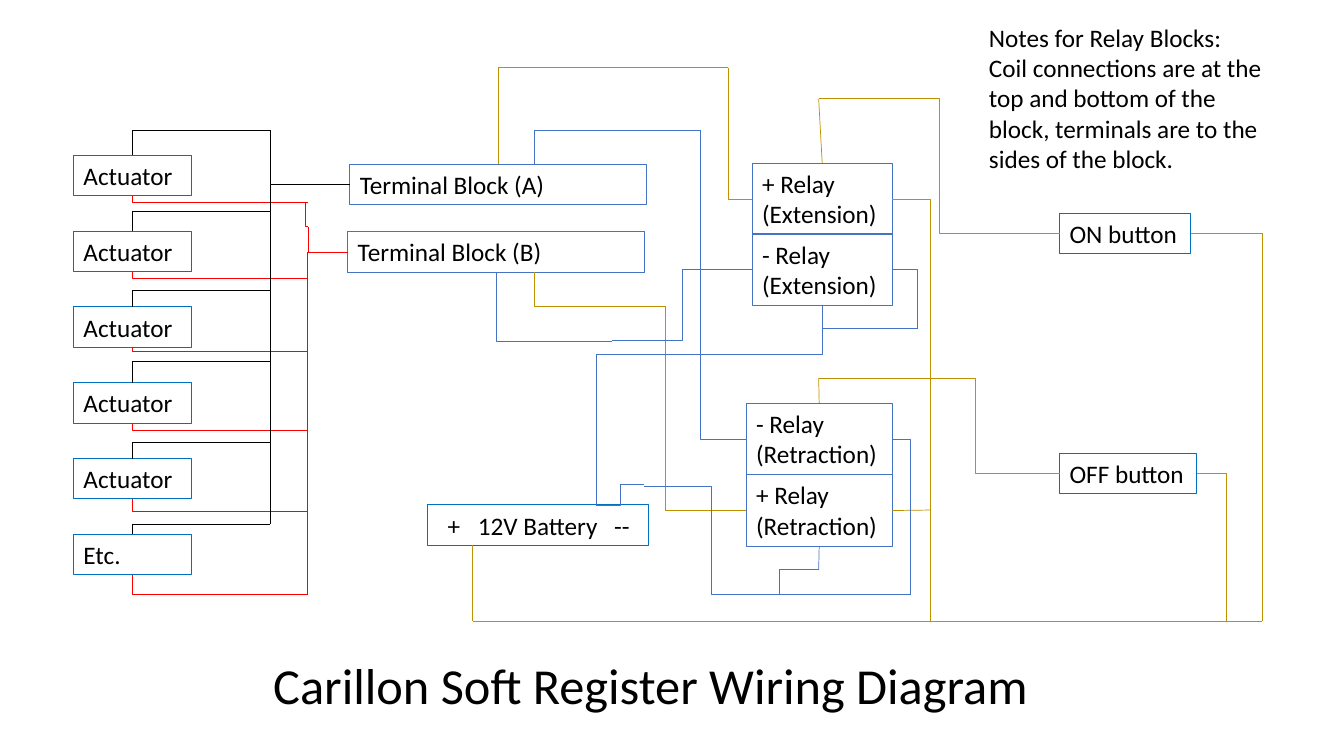
from lxml import etree
from pptx import Presentation
from pptx.dml.color import RGBColor
from pptx.enum.shapes import MSO_CONNECTOR, MSO_SHAPE
from pptx.enum.text import MSO_ANCHOR, MSO_AUTO_SIZE, PP_ALIGN
from pptx.oxml.ns import qn
from pptx.util import Inches, Pt

RECT = MSO_SHAPE.RECTANGLE
STRAIGHT, ELBOW = MSO_CONNECTOR.STRAIGHT, MSO_CONNECTOR.ELBOW
LEFT_ALIGN = PP_ALIGN.LEFT
TOP_ANCHOR = MSO_ANCHOR.TOP
NO_AUTOFIT = MSO_AUTO_SIZE.NONE
TOP, LEFT, BOTTOM, RIGHT = range(4)

# Where an elbow turns, as a share of its width
V_FIRST, MIDWAY, H_FIRST = 0, 0.5, 1

FONT = "Calibri"
COLORS = {
    "text": "000000",
    "device": "0070C0",
    "block": "4472C4",
    "black": "000000",
    "red": "FF0000",
    "blue": "4472C4",
    "gold": "BF9000",
}

ACTUATORS = ["Actuator"] * 5 + ["Etc."]
BLACK_TAPS = [1.29, 2.1, 2.88, 3.59, 4.39, 5.2]
RED_TAPS = [2.01, 2.76, 3.49, 4.27, 5.07, 5.9]
BLACK_BUS, RED_BUS = 2.68, 3.05

# name: text, left, top, width, height, outline
BOXES = {
    "terminal_a": ("Terminal Block (A)", 3.47, 1.63, 2.94, 0.4, "block"),
    "terminal_b": ("Terminal Block (B)", 3.45, 2.3, 2.94, 0.4, "block"),
    "plus_ext": ("+ Relay (Extension)", 7.46, 1.62, 1.39, 0.71, "block"),
    "minus_ext": ("- Relay (Extension)", 7.46, 2.32, 1.39, 0.71, "block"),
    "minus_ret": ("- Relay (Retraction)", 7.4, 4, 1.45, 0.71, "block"),
    "plus_ret": ("+ Relay (Retraction)", 7.4, 4.71, 1.45, 0.71, "block"),
    "battery": ("+\t12V Battery\t--", 4.24, 5.01, 2.19, 0.4, "device"),
    "on": ("ON button", 10.51, 2.12, 1.3, 0.4, "device"),
    "off": ("OFF button", 10.51, 4.5, 1.36, 0.4, "device"),
}

# colour, start, end, turn; an end is a point or a box with its side
WIRES = [
    # Actuator buses
    ("black", (BLACK_BUS, 1.29), ("terminal_a", LEFT), V_FIRST),
    ("black", (BLACK_BUS, 1.84), (BLACK_BUS, 5.2), None),
    ("red", (3.03, 2.01), (3.06, 2.25), V_FIRST),
    ("red", (3.06, 2.25), (3.06, 2.5), None),
    ("red", ("terminal_b", LEFT), (RED_BUS, 5.9), H_FIRST),
    # Positive supply and buttons
    ("gold", (4.69, 5.41), (4.69, 6.16), None),
    ("gold", (4.69, 6.16), (12.52, 6.16), None),
    ("gold", ("on", RIGHT), (12.52, 6.16), H_FIRST),
    ("gold", ("off", RIGHT), (12.16, 6.16), H_FIRST),
    ("gold", ("plus_ext", RIGHT), (9.23, 6.16), H_FIRST),
    ("gold", ("plus_ret", RIGHT), (9.23, 5.06), None),
    ("gold", ("on", LEFT), (8.12, 0.98), MIDWAY),
    ("gold", ("plus_ext", TOP), (8.12, 0.98), None),
    ("gold", ("off", LEFT), (8.12, 3.75), 0.35),
    ("gold", (8.12, 3.75), ("minus_ret", TOP), None),
    # Positive relays to the terminal blocks
    ("gold", ("plus_ext", LEFT), (7.22, 0.67), H_FIRST),
    ("gold", (7.22, 0.67), ("terminal_a", TOP), H_FIRST),
    ("gold", ("plus_ret", LEFT), (6.6, 3.04), H_FIRST),
    ("gold", (6.6, 3.04), (5.3, 2.7), H_FIRST),
    # Negative relays to the terminal blocks
    ("blue", ("minus_ext", LEFT), (6.07, 3.38), MIDWAY),
    ("blue", (6.07, 3.39), ("terminal_b", BOTTOM), H_FIRST),
    ("blue", ("minus_ret", LEFT), (6.95, 1.29), H_FIRST),
    ("blue", (6.95, 1.29), (5.3, 1.63), H_FIRST),
    # Negative supply
    ("blue", ("minus_ext", BOTTOM), (5.91, 3.52), V_FIRST),
    ("blue", (5.91, 3.52), (5.91, 5.01), None),
    ("blue", ("minus_ext", RIGHT), (9.1, 3.26), H_FIRST),
    ("blue", (9.1, 3.26), (8.15, 3.26), None),
    ("blue", (5.91, 5.01), (6.39, 4.81), MIDWAY),
    ("blue", (6.39, 4.83), (7.73, 5.9), MIDWAY),
    ("blue", (7.73, 5.9), (8.12, 5.65), V_FIRST),
    ("blue", (8.12, 5.65), ("plus_ret", BOTTOM), None),
    ("blue", ("minus_ret", RIGHT), (9.03, 5.9), H_FIRST),
    ("blue", (9.03, 5.9), (7.73, 5.9), None),
]


def rgb(name):
    return RGBColor.from_string(COLORS[name])


def add_text(p, text, size=18):
    p.alignment = LEFT_ALIGN
    r = p.add_run()
    r.text = text
    r.font.name = FONT
    r.font.size = Pt(size)
    r.font.color.rgb = rgb("text")


def add_box(s, text, left, top, width, height, outline):
    sp = s.shapes.add_shape(RECT, Inches(left), Inches(top), Inches(width), Inches(height))
    sp.shadow.inherit = False
    sp.fill.background()
    sp.line.color.rgb = rgb(outline)
    sp.line.width = Pt(0.75)
    tf = sp.text_frame
    tf.word_wrap = True
    tf.vertical_anchor = TOP_ANCHOR
    add_text(tf.paragraphs[0], text)
    return sp


def set_tabs(sp, margin, stops):
    tf = sp.text_frame
    tf.margin_left = Inches(margin)
    tabs = etree.SubElement(tf.paragraphs[0]._p.get_or_add_pPr(), qn("a:tabLst"))
    for stop in stops:
        etree.SubElement(tabs, qn("a:tab"), pos=str(Inches(stop)), algn="l")


def add_wire(s, boxes, color, start, end, turn=None):
    """Draw a straight wire, or an elbow when a turn is given."""
    points = [(0, 0) if e[0] in boxes else e for e in (start, end)]
    (x1, y1), (x2, y2) = points
    wire = s.shapes.add_connector(STRAIGHT if turn is None else ELBOW,
                                  Inches(x1), Inches(y1), Inches(x2), Inches(y2))
    if start[0] in boxes:
        wire.begin_connect(boxes[start[0]], start[1])
    if end[0] in boxes:
        wire.end_connect(boxes[end[0]], end[1])
    wire.line.color.rgb = rgb(color)
    wire.line.width = Pt(0.5)
    sp_pr = wire._element.spPr
    etree.SubElement(sp_pr, qn("a:effectLst"))
    if turn is not None:
        guides = sp_pr.find(qn("a:prstGeom")).find(qn("a:avLst"))
        etree.SubElement(guides, qn("a:gd"), name="adj1", fmla=f"val {round(turn * 100000)}")


def add_actuators(s, boxes):
    for i, text in enumerate(ACTUATORS):
        name = f"actuator_{i}"
        boxes[name] = add_box(s, text, 0.73, 1.54 + 0.7525 * i, 1.17, 0.4, "device")
        add_wire(s, boxes, "black", (name, TOP), (BLACK_BUS, BLACK_TAPS[i]), V_FIRST)
        add_wire(s, boxes, "red", (name, BOTTOM), (RED_BUS, RED_TAPS[i]), V_FIRST)


def add_notes(s):
    sp = s.shapes.add_textbox(Inches(9.71), Inches(0.17), Inches(2.92), Inches(1.62))
    tf = sp.text_frame
    tf.word_wrap = True
    add_text(tf.paragraphs[0], "Notes for Relay Blocks:")
    add_text(tf.add_paragraph(), "Coil connections are at the top and bottom of the block, "
                                 "terminals are to the sides of the block.")


def set_title(s, text):
    title = s.shapes.title
    title.left, title.top = Inches(2.61), Inches(6.44)
    title.width, title.height = Inches(9.59), Inches(0.71)
    tf = title.text_frame
    tf.auto_size = NO_AUTOFIT
    tf.vertical_anchor = TOP_ANCHOR
    add_text(tf.paragraphs[0], text, 36)


def main():
    prs = Presentation()
    prs.slide_width, prs.slide_height = Inches(13.33), Inches(7.5)
    s = prs.slides.add_slide(prs.slide_layouts.get_by_name("Title Only"))
    set_title(s, "Carillon Soft Register Wiring Diagram")
    boxes = {name: add_box(s, *box) for name, box in BOXES.items()}
    set_tabs(boxes["battery"], 0.2, [0.3, 1.65])
    add_actuators(s, boxes)
    for wire in WIRES:
        add_wire(s, boxes, *wire)
    add_notes(s)
    prs.save("out.pptx")


if __name__ == "__main__":
    main()
